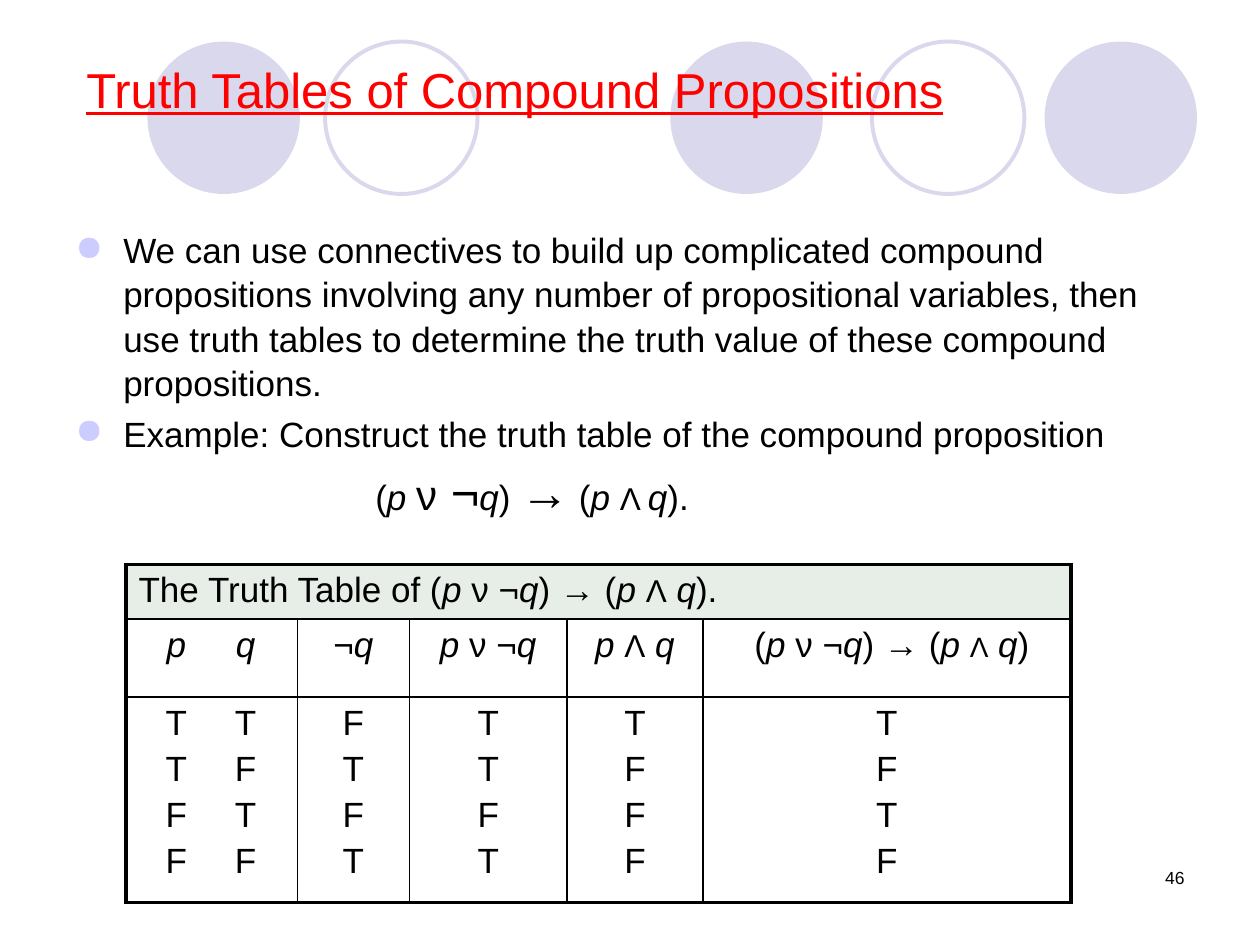
"""Build a slide on truth tables of compound propositions."""
from lxml import etree
from pptx import Presentation
from pptx.dml.color import RGBColor
from pptx.enum.shapes import MSO_SHAPE
from pptx.enum.text import MSO_ANCHOR, PP_ALIGN
from pptx.oxml.ns import qn
from pptx.util import Inches, Pt

OVAL = MSO_SHAPE.OVAL
TOP = MSO_ANCHOR.TOP
LEFT, MID, RIGHT = PP_ALIGN.LEFT, PP_ALIGN.CENTER, PP_ALIGN.RIGHT


def paint(color, value):
    color.rgb = RGBColor.from_string(value)


def write(para, text, size=20, sizes={}):
    for part in text.split("|"):
        run = para.add_run()
        run.text = part
        run.font.name = "Arial"
        run.font.size = Pt(sizes.get(part, size))
        run.font.italic = part.strip() in ("p", "q")
        paint(run.font.color, "000000")


prs = Presentation()
prs.slide_width, prs.slide_height = Inches(10), Inches(7.5)
slide = prs.slides.add_slide(prs.slide_layouts[5])
shapes = slide.shapes

for left, solid in [(5.32, True), (8.29, True), (1.17, True), (6.92, False), (2.58, False)]:
    disc = shapes.add_shape(OVAL, Inches(left), Inches(0.33), Inches(1.21), Inches(1.21))
    disc.shadow.inherit = False
    if solid:
        disc.fill.solid()
        paint(disc.fill.fore_color, "D9D8EC")
        disc.line.fill.background()
    else:
        disc.fill.background()
        paint(disc.line.color, "D9D8EC")
        disc.line.width = Pt(2.25)

title = shapes.title
shapes.element.append(title.element)
title.left, title.top = Inches(0.5), Inches(0.42)
title.width, title.height = Inches(7.17), Inches(0.57)
frame = title.text_frame
frame.text = "Truth Tables of Compound Propositions"
frame.vertical_anchor = TOP
frame.word_wrap = True
para = frame.paragraphs[0]
para.alignment = MID
font = para.runs[0].font
font.name, font.size, font.underline = "Arial", Pt(28), True
paint(font.color, "FF0000")

body = shapes.add_textbox(Inches(0.5), Inches(1.75), Inches(8.92), Inches(2.75))
frame = body.text_frame
frame.word_wrap = True
points = [
    "We can use connectives to build up complicated compound propositions "
    "involving any number of propositional variables, then use truth tables "
    "to determine the truth value of these compound propositions.",
    "Example: Construct the truth table of the compound proposition",
]
for i, point in enumerate(points):
    para = frame.add_paragraph() if i else frame.paragraphs[0]
    props = para._p.get_or_add_pPr()
    props.set("marL", str(Inches(0.38)))
    props.set("indent", str(-Inches(0.38)))
    tint = etree.SubElement(props, qn("a:buClr"))
    etree.SubElement(tint, qn("a:srgbClr"), val="CCCCFF")
    etree.SubElement(props, qn("a:buChar"), char="●")
    para.line_spacing = 1.05
    para.space_before = Pt(4 if i else 0)
    write(para, point)

para = frame.add_paragraph()
para._p.get_or_add_pPr().set("marL", str(Inches(2.38)))
para.space_before = Pt(4)
write(para, "(|p |ν| ¬|q|) |→| (|p |Λ |q|).", 20, {"ν": 24, " ¬": 28, "→": 28, "Λ ": 18})

heads = ["\tp|\tq", "¬|q", "p |ν ¬|q", "p |Λ| |q", " (|p |ν ¬|q|) → (|p |Λ| |q|)"]
marks = [["\tT\tT", "\tT\tF", "\tF\tT", "\tF\tF"], "FTFT", "TTFT", "TFFF", "TFTF"]
rows = [
    [["The Truth Table of (|p |ν ¬|q|) → (|p |Λ| |q|)."], [], [], [], []],
    [[head] for head in heads],
    marks,
]
table = shapes.add_table(3, 5, Inches(1), Inches(4.48), Inches(7.5), Inches(2.68)).table
table.first_row = table.horz_banding = False
for col, width in zip(table.columns, [1.36, 0.89, 1.25, 1.08, 2.92]):
    col.width = Inches(width)
for row, height in zip(table.rows, [0.43, 0.62, 1.63]):
    row.height = Inches(height)
table.cell(0, 0).merge(table.cell(0, 4))

for r, row in enumerate(rows):
    for c, lines in enumerate(row):
        cell = table.cell(r, c)
        edges = {"L": c == 0, "R": c == 4 or r == 0, "T": r == 0, "B": r == 2}
        for side, outer in edges.items():
            line = etree.SubElement(cell._tc.get_or_add_tcPr(), qn("a:ln" + side),
                                    w=str(Pt(2.25 if outer else 1)))
            fill = etree.SubElement(line, qn("a:solidFill"))
            etree.SubElement(fill, qn("a:srgbClr"), val="000000")
        if r == 0:
            cell.fill.solid()
            paint(cell.fill.fore_color, "E7EDE7")
        else:
            cell.fill.background()
        for i, text in enumerate(lines):
            frame = cell.text_frame
            para = frame.add_paragraph() if i else frame.paragraphs[0]
            para.alignment = MID if r and c else LEFT
            if r and c == 0:
                tabs = etree.SubElement(para._p.get_or_add_pPr(), qn("a:tabLst"))
                for stop in (0.3, 0.85):
                    etree.SubElement(tabs, qn("a:tab"), pos=str(Inches(stop)), algn="ctr")
            para.space_before = Pt(4 if i else 0)
            write(para, text, 20, {"Λ": 16 if r and c == 4 else 18})

page = shapes.add_textbox(Inches(7.17), Inches(6.83), Inches(2.33), Inches(0.5))
page.text_frame.word_wrap = True
para = page.text_frame.paragraphs[0]
para.alignment = RIGHT
write(para, "46", 10)

prs.save("out.pptx")
